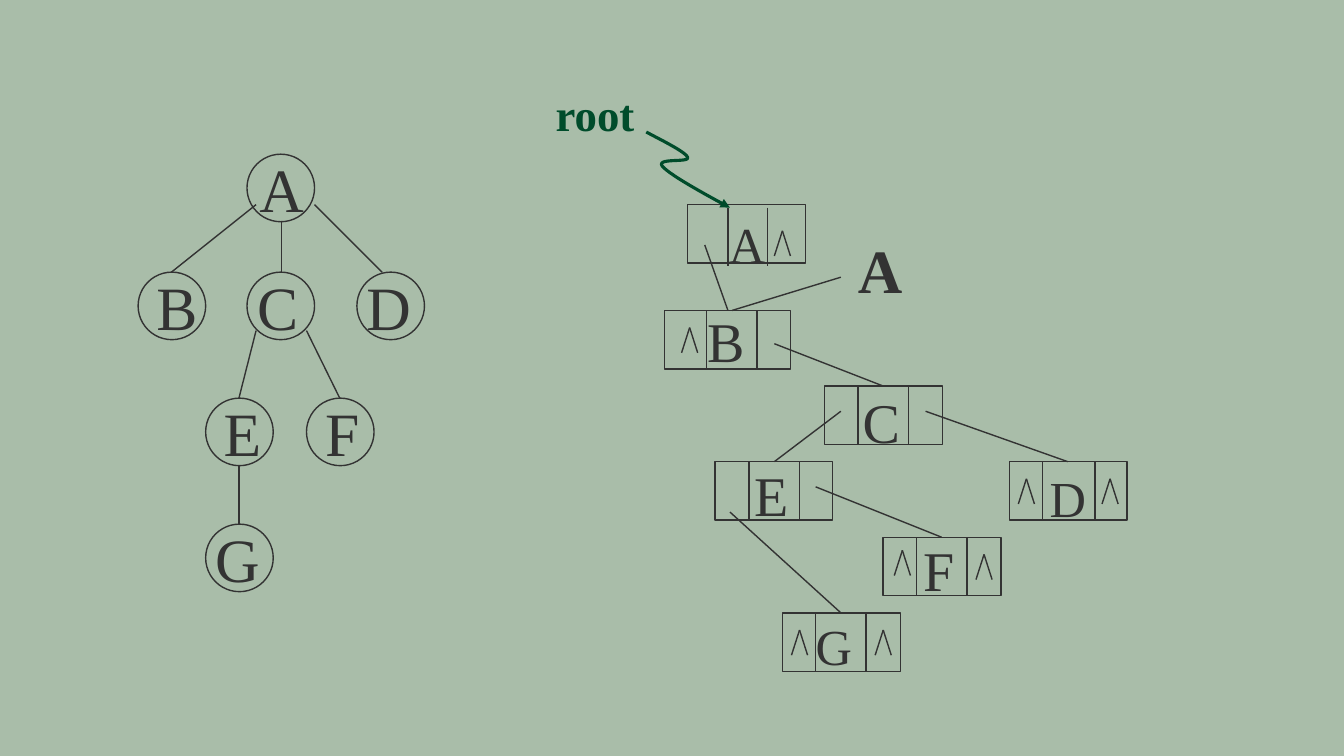
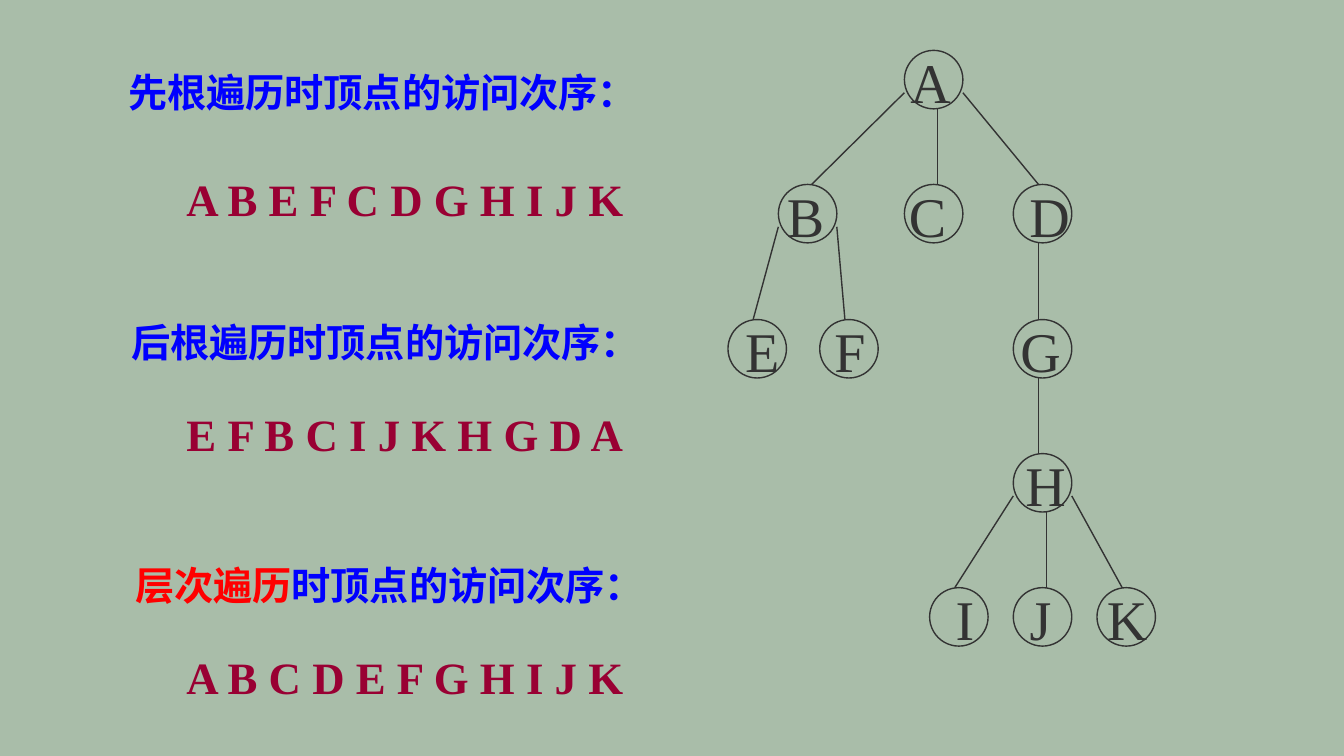
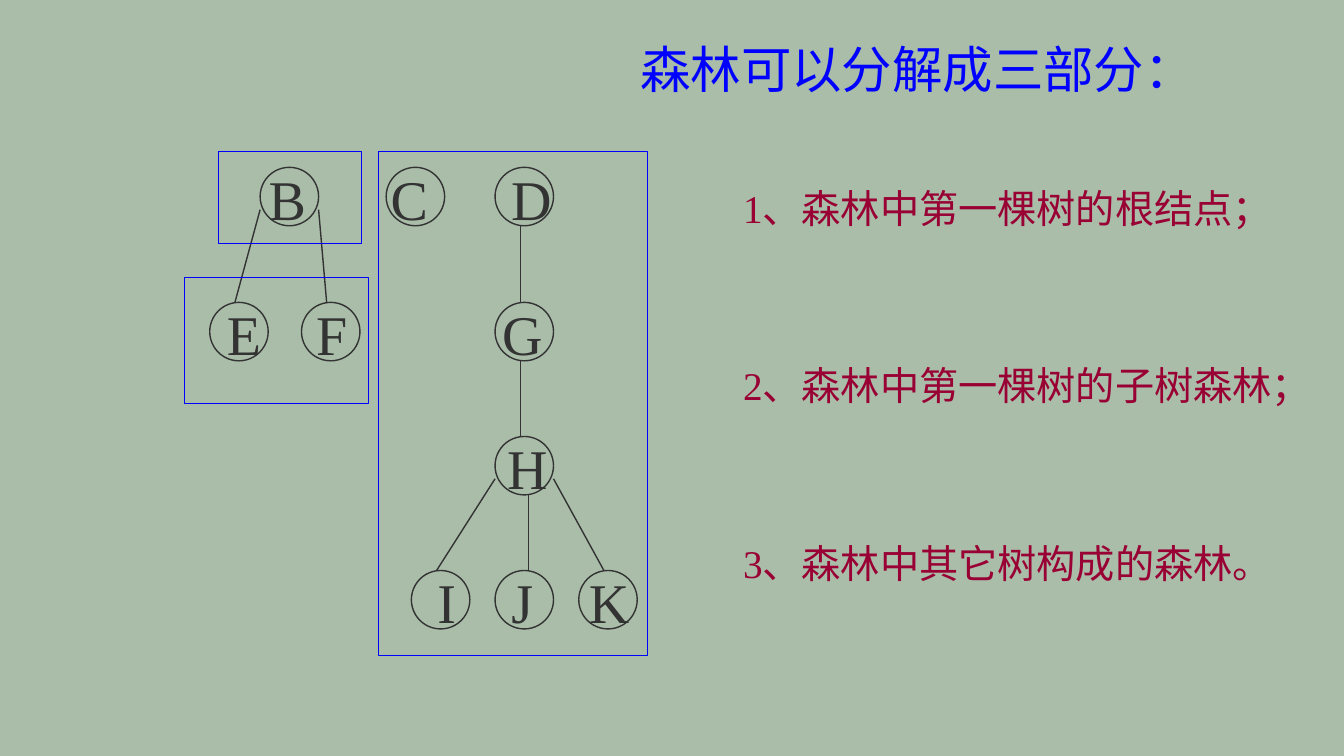
from lxml import etree
from pptx import Presentation
from pptx.dml.color import RGBColor
from pptx.enum.shapes import MSO_CONNECTOR, MSO_SHAPE
from pptx.enum.text import MSO_ANCHOR, MSO_AUTO_SIZE, PP_ALIGN
from pptx.oxml.ns import qn
from pptx.util import Inches, Pt

# Shared style
SAGE = RGBColor(0xA9, 0xBD, 0xA9)
INK = RGBColor(0x33, 0x33, 0x33)
GREEN = RGBColor(0x00, 0x4C, 0x2B)
BLUE = RGBColor(0x00, 0x00, 0xFF)
RED = RGBColor(0xFF, 0x00, 0x00)
WINE = RGBColor(0x99, 0x00, 0x33)
LATIN, HAN = "Times New Roman", "Noto Sans CJK SC"
LEFT, CENTER = PP_ALIGN.LEFT, PP_ALIGN.CENTER
TOP, NO_FIT = MSO_ANCHOR.TOP, MSO_AUTO_SIZE.NONE
RECT, OVAL = MSO_SHAPE.RECTANGLE, MSO_SHAPE.OVAL
STRAIGHT = MSO_CONNECTOR.STRAIGHT
TITLE_ONLY, BLANK = 5, 6
LEADING = 1.2
CELL_H = 0.58

# Small tree: letter -> left, top, shift of the letter
TREE = {
    "A": (2.45, 1.53, 0.01), "B": (1.37, 2.7, 0.05),
    "C": (2.45, 2.7, -0.03), "D": (3.54, 2.7, -0.02),
    "E": (2.04, 3.95, 0.03), "F": (3.04, 3.95, 0.02),
    "G": (2.04, 5.2, -0.02),
}
# Edges: parent, child, start offset in parent, end offset on child top
TREE_EDGES = [
    ("A", "B", 0.09, 0.5, 0.33), ("A", "C", 0.34, 0.67, 0.34),
    ("A", "D", 0.67, 0.5, 0.25), ("C", "E", 0.09, 0.58, 0.33),
    ("C", "F", 0.59, 0.58, 0.33), ("E", "G", 0.33, 0.67, 0.33),
]

# Large tree, shown whole and then without its root
WOOD = {
    "A": (8.97, 0.5, -0.03), "B": (7.72, 1.83, -0.02),
    "C": (8.97, 1.83, -0.06), "D": (10.05, 1.83, 0.07),
    "E": (7.22, 3.17, 0.05), "F": (8.13, 3.17, 0.01),
    "G": (10.05, 3.17, -0.02), "H": (10.05, 4.5, 0.03),
    "I": (9.22, 5.83, 0.06), "J": (10.05, 5.83, -0.02),
    "K": (10.88, 5.83, 0.01),
}
WOOD_EDGES = [
    ("A", "B", 0, 0.42, 0.33), ("A", "C", 0.33, 0.58, 0.33),
    ("A", "D", 0.58, 0.42, 0.25), ("B", "E", 0, 0.42, 0.25),
    ("B", "F", 0.58, 0.42, 0.25), ("D", "G", 0.25, 0.58, 0.25),
    ("G", "H", 0.25, 0.58, 0.25), ("H", "I", 0, 0.42, 0.25),
    ("H", "J", 0.33, 0.58, 0.33), ("H", "K", 0.58, 0.42, 0.25),
]

# Linked cells: letter, size, left, top, width, dividers, letter centre and top
CELLS = [
    ("A", 36, 6.82, 2.03, 1.17, 0.4, 0.79, 7.41, 2.11),
    ("B", 40, 6.59, 3.08, 1.25, 0.42, 0.92, 7.2, 3.04),
    ("C", 40, 8.18, 3.83, 1.17, 0.33, 0.83, 8.74, 3.84),
    ("E", 40, 7.09, 4.58, 1.17, 0.34, 0.84, 7.65, 4.57),
    ("D", 36, 10.01, 4.58, 1.17, 0.33, 0.85, 10.59, 4.63),
    ("F", 40, 8.76, 5.33, 1.17, 0.33, 0.83, 9.31, 5.31),
    ("G", 36, 7.76, 6.08, 1.17, 0.33, 0.83, 8.27, 6.1),
]
LINKS = [
    (6.99, 2.43, 7.22, 3.08), (8.34, 2.75, 7.26, 3.08),
    (7.68, 3.41, 8.76, 3.83), (8.34, 4.08, 7.68, 4.58),
    (9.18, 4.08, 10.59, 4.58), (8.09, 4.83, 9.34, 5.33),
    (7.24, 5.08, 8.34, 6.08),
]
CARETS = [
    (7.76, 2.29), (6.84, 3.25), (10.18, 4.75), (11.01, 4.75),
    (8.95, 5.46), (9.76, 5.5), (7.93, 6.25), (8.76, 6.25),
]
CURVE = [
    [(6.41, 1.31), (6.6, 1.41), (6.8, 1.51), (6.82, 1.56)],
    [(6.82, 1.56), (6.85, 1.62), (6.5, 1.56), (6.57, 1.65)],
    [(6.57, 1.65), (6.64, 1.73), (6.94, 1.9), (7.24, 2.06)],
]


# Text
def write(frame, text, size=28, color=INK, bold=False, lines=1, align=LEFT):
    """Fill a frame with a string or a list of (string, colour) runs."""
    frame.margin_left = frame.margin_right = 0
    frame.margin_top = frame.margin_bottom = 0
    frame.auto_size = NO_FIT
    frame.word_wrap = False
    frame.vertical_anchor = TOP
    para = frame.paragraphs[0]
    para.alignment = align
    para.space_before = Pt(0)
    para.line_spacing = Pt(size * LEADING * lines)
    runs = [(text, color)] if isinstance(text, str) else text
    for part, tint in runs:
        run = para.add_run()
        run.text = part
        font = run.font
        font.size, font.bold, font.name = Pt(size), bold, LATIN
        font.color.rgb = tint
        han = etree.SubElement(run._r.get_or_add_rPr(), qn("a:ea"))
        han.set("typeface", HAN)


def label(slide, text, x, y, w=5.5, size=28, lines=1, **style):
    high = size * LEADING * lines / 72
    box = slide.shapes.add_textbox(Inches(x), Inches(y),
                                   Inches(w), Inches(high))
    write(box.text_frame, text, size=size, lines=lines, **style)


def letter(slide, text, mid, y, size, bold=False):
    label(slide, text, mid - 0.4, y, w=0.8, size=size, bold=bold,
          align=CENTER)


# Shapes
def outline(slide, kind, x, y, w, h, color=INK, width=1):
    shape = slide.shapes.add_shape(kind, Inches(x), Inches(y),
                                   Inches(w), Inches(h))
    shape.shadow.inherit = False
    shape.fill.background()
    shape.line.color.rgb = color
    shape.line.width = Pt(width)


def line(slide, x1, y1, x2, y2):
    link = slide.shapes.add_connector(STRAIGHT, Inches(x1), Inches(y1),
                                      Inches(x2), Inches(y2))
    link.line.color.rgb = INK
    link.line.width = Pt(1)
    etree.SubElement(link._element.spPr, qn("a:effectLst"))


def caret(slide, x, y):
    for side in (-0.08, 0.08):
        line(slide, x, y, x + side, y + 0.25)


def cell(slide, text, size, x, y, w, div1, div2, mid, top):
    outline(slide, RECT, x, y, w, CELL_H)
    drop = 0.03 if text == "A" else 0
    for div in (div1, div2):
        line(slide, x + div, y + drop, x + div, y + drop + CELL_H)
    letter(slide, text, mid, top, size)


def bezier(pts, t):
    rate = ((1 - t) ** 3, 3 * t * (1 - t) ** 2, 3 * t * t * (1 - t), t ** 3)
    return tuple(Inches(sum(r * p[axis] for r, p in zip(rate, pts)))
                 for axis in (0, 1))


def arrow(slide, curve, steps=14):
    pts = [bezier(part, i / steps) for part in curve
           for i in range(1, steps + 1)]
    pen = slide.shapes.build_freeform(*bezier(curve[0], 0))
    pen.add_line_segments(pts, close=False)
    shape = pen.convert_to_shape()
    shape.shadow.inherit = False
    shape.fill.background()
    shape.line.color.rgb = GREEN
    shape.line.width = Pt(2.25)
    edge = shape._element.spPr.find(qn("a:ln"))
    etree.SubElement(edge, qn("a:tailEnd")).set("type", "triangle")


def tree(slide, nodes, edges, d, size, dx=0, dy=0):
    for name, (x, y, shift) in nodes.items():
        outline(slide, OVAL, x + dx, y + dy, d, d)
        letter(slide, name, x + dx + d / 2 + shift, y + dy - 0.03, size)
    for top, low, sx, sy, end in edges:
        if top in nodes:
            (x1, y1, _), (x2, y2, _) = nodes[top], nodes[low]
            line(slide, x1 + dx + sx, y1 + dy + sy, x2 + dx + end, y2 + dy)


# Slides
def links_slide(deck):
    slide = deck.slides.add_slide(deck.slide_layouts[BLANK])
    for item in CELLS:
        cell(slide, *item)
    for ends in LINKS:
        line(slide, *ends)
    for tip in CARETS:
        caret(slide, *tip)
    letter(slide, "A", 8.73, 2.3, 44, bold=True)
    label(slide, "root", 5.51, 0.86, w=1.05, size=32, color=GREEN, bold=True)
    arrow(slide, CURVE)
    tree(slide, TREE, TREE_EDGES, 0.67, 44)


def orders_slide(deck):
    slide = deck.slides.add_slide(deck.slide_layouts[BLANK])
    tail = "时顶点的访问次序："
    heads = [
        (1.27, 0.68, "先根遍历" + tail),
        (1.3, 3.16, "后根遍历" + tail),
        (1.34, 5.57, [("层次遍历", RED), (tail, BLUE)]),
    ]
    for x, y, text in heads:
        label(slide, text, x, y, w=5, color=BLUE, bold=True)
    orders = [(1.7, "A B E F C D G H I J K"), (4.03, "E F B C I J K H G D A"),
              (6.45, "A B C D E F G H I J K")]
    for y, text in orders:
        label(slide, text, 1.85, y, w=4.4, size=32, color=WINE, bold=True)
    tree(slide, WOOD, WOOD_EDGES, CELL_H, 40)


def parts_slide(deck):
    slide = deck.slides.add_slide(deck.slide_layouts[TITLE_ONLY])
    title = slide.shapes.title
    title.left, title.top = Inches(6.35), Inches(0.38)
    title.width, title.height = Inches(5.62), Inches(0.61)
    write(title.text_frame, "森林可以分解成三部分：", size=36, color=BLUE)
    woods = {name: at for name, at in WOOD.items() if name != "A"}
    tree(slide, woods, WOOD_EDGES, CELL_H, 40, dx=-5.14, dy=-0.17)
    for frame in [(2.17, 1.5, 1.42, 0.92), (1.83, 2.75, 1.83, 1.25),
                  (3.75, 1.5, 2.67, 5)]:
        outline(slide, RECT, *frame, color=BLUE, width=0.75)
    points = [(1.6, "1、森林中第一棵树的根结点；"),
              (3.35, "2、森林中第一棵树的子树森林；"),
              (5.12, "3、森林中其它树构成的森林。")]
    for y, text in points:
        label(slide, text, 7.37, y, color=WINE, lines=1.5)


def main():
    deck = Presentation()
    deck.slide_width, deck.slide_height = Inches(13.33), Inches(7.5)
    ground = deck.slide_master.background.fill
    ground.solid()
    ground.fore_color.rgb = SAGE
    links_slide(deck)
    orders_slide(deck)
    parts_slide(deck)
    deck.save("out.pptx")


if __name__ == "__main__":
    main()
